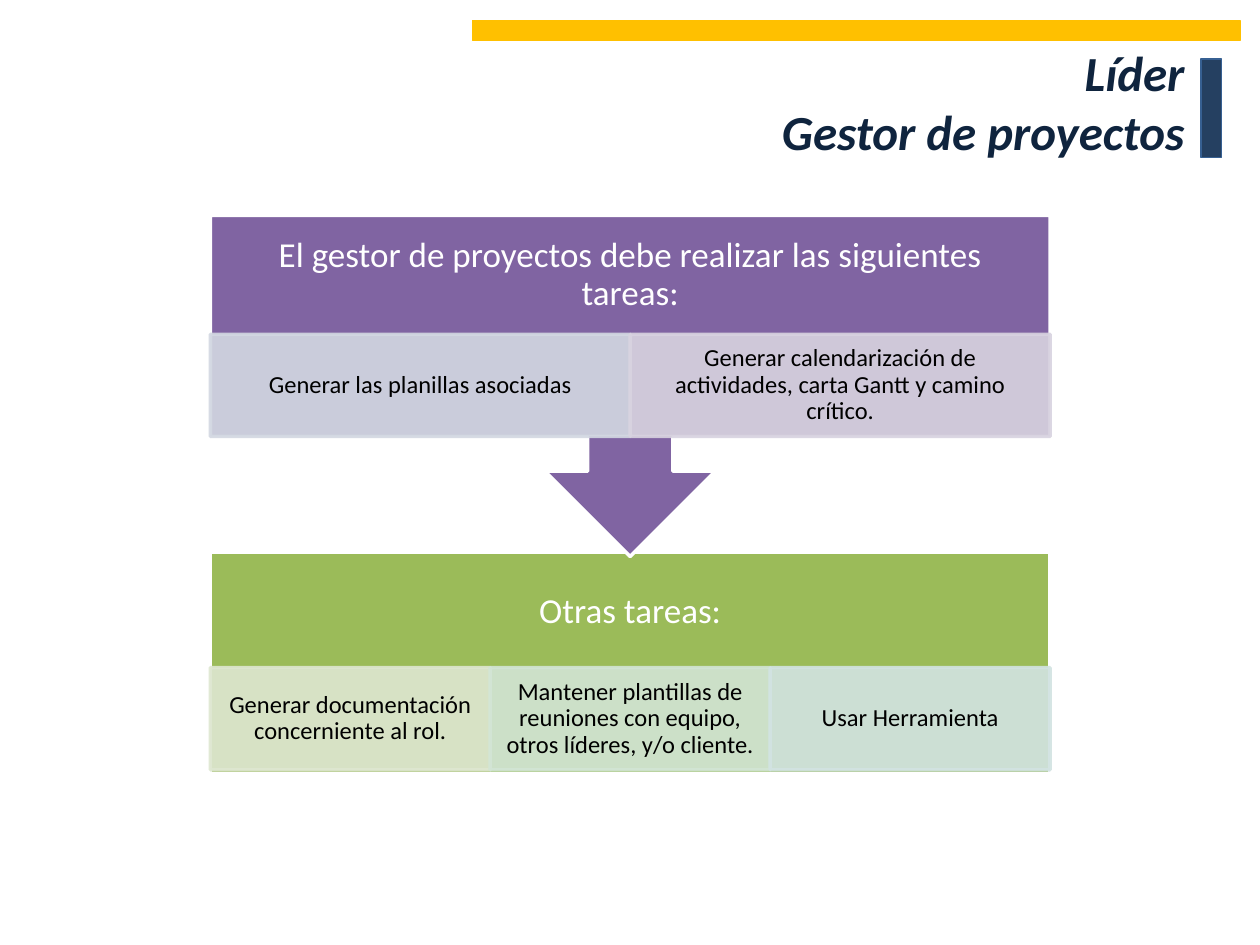
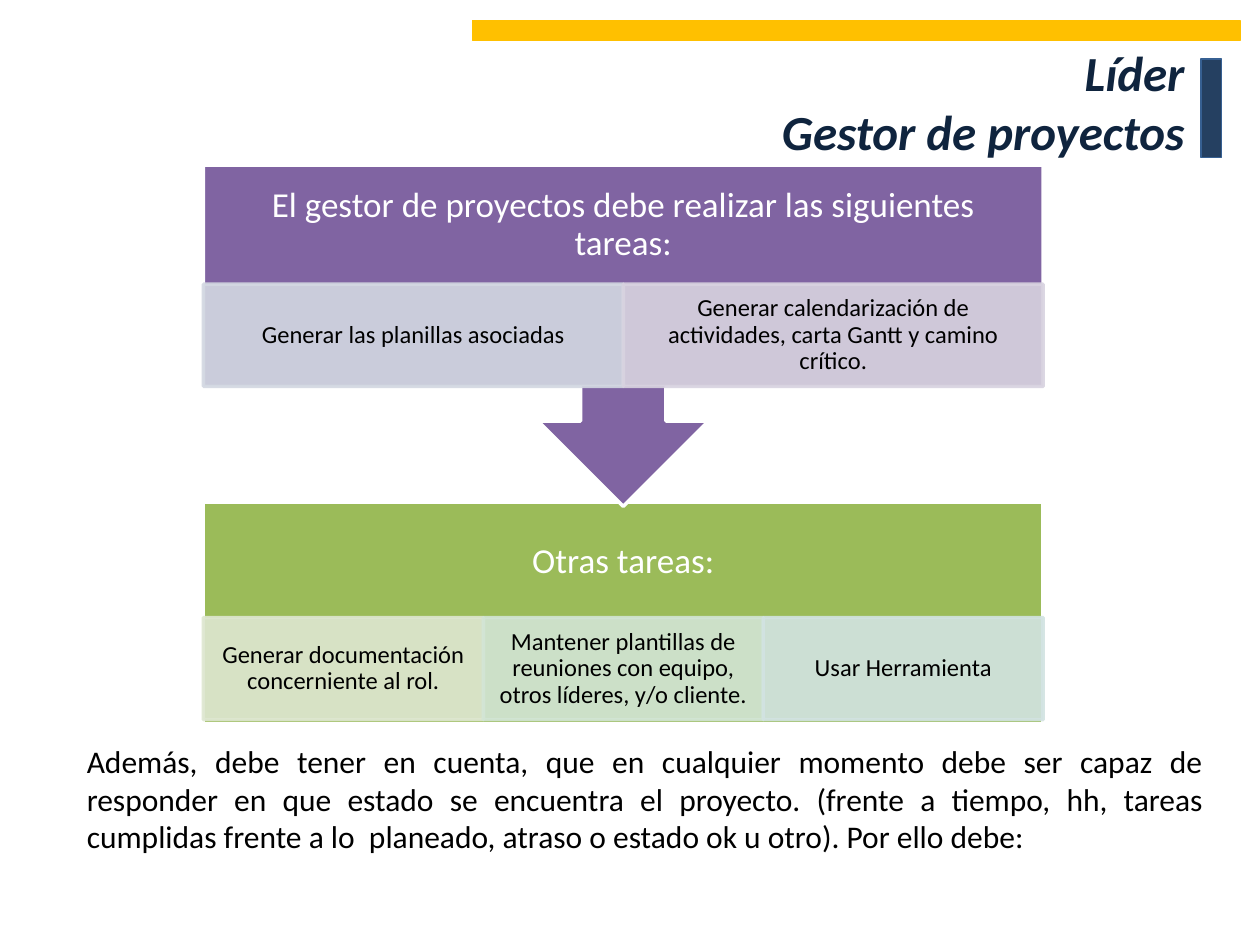
from dataclasses import dataclass

import lxml.etree
import pptx
import pptx.dml.color
import pptx.enum.shapes
import pptx.enum.text
import pptx.oxml.ns
import pptx.util

Cm = pptx.util.Cm
Pt = pptx.util.Pt
Shapes = pptx.enum.shapes.MSO_SHAPE
Align = pptx.enum.text.PP_ALIGN
Anchor = pptx.enum.text.MSO_ANCHOR


@dataclass(frozen=True)
class Theme:
    font: str = "Calibri"
    title_size: int = 28
    heading_size: int = 20
    body_size: int = 18
    cell_size: int = 14
    title: str = "0F243E"
    marker: str = "254061"
    marker_line: str = "376092"
    band: str = "FFC000"
    text: str = "000000"
    white: str = "FFFFFF"
    main_block: str = "8064A2"
    other_block: str = "9BBB59"
    cell_opacity: int = 90


THEME = Theme()
TITLE = "Líder\v Gestor de proyectos"
NOTE = (
    "Además, debe tener en cuenta, que en cualquier momento debe ser capaz de "
    "responder en que estado se encuentra el proyecto. (frente a tiempo, hh, "
    "tareas cumplidas frente a lo  planeado, atraso o estado ok u otro). "
    "Por ello debe:"
)
MAIN_HEADING = "El gestor de proyectos debe realizar las siguientes tareas:"
MAIN_TASKS = [
    ("Generar las planillas asociadas", "D3D8E2"),
    ("Generar calendarización de actividades, carta Gantt y camino crítico.", "D8D3E0"),
]
OTHER_HEADING = "Otras tareas:"
OTHER_TASKS = [
    ("Generar documentación concerniente al rol.", "DEE7D1"),
    ("Mantener plantillas de reuniones con equipo, otros líderes, y/o cliente.", "D2E5D5"),
    ("Usar Herramienta", "D2E3E2"),
]

DIAGRAM_WIDTH = 16.93
PANEL_HEIGHT = 4.47
CALLOUT_HEIGHT = 6.88
HEADING_HEIGHT = 2.41
CELL_HEIGHT = 2.06
PANEL_OFFSET = 6.79


def rgb(color):
    return pptx.dml.color.RGBColor.from_string(color)


def set_text(shape, text, size, color, align, bold=False, italic=False, spacing=None):
    frame = shape.text_frame
    frame.word_wrap = True
    frame.text = text
    paragraph = frame.paragraphs[0]
    paragraph.alignment = align
    if spacing:
        paragraph.line_spacing = spacing
    for run in paragraph.runs:
        run.font.name = THEME.font
        run.font.size = Pt(size)
        run.font.bold = bold
        run.font.italic = italic
        run.font.color.rgb = rgb(color)


def set_margins(shape, horizontal, top, bottom):
    frame = shape.text_frame
    frame.vertical_anchor = Anchor.MIDDLE
    frame.margin_left = frame.margin_right = Cm(horizontal)
    frame.margin_top = Cm(top)
    frame.margin_bottom = Cm(bottom)


def set_opacity(shape, percent):
    for color in shape._element.spPr.iter(pptx.oxml.ns.qn("a:srgbClr")):
        alpha = lxml.etree.SubElement(color, pptx.oxml.ns.qn("a:alpha"))
        alpha.set("val", str(percent * 1000))


def add_block(slide, kind, left, top, width, height, fill, line, line_width):
    shape = slide.shapes.add_shape(kind, Cm(left), Cm(top), Cm(width), Cm(height))
    shape.shadow.inherit = False
    shape.fill.solid()
    shape.fill.fore_color.rgb = rgb(fill)
    shape.line.color.rgb = rgb(line)
    shape.line.width = Pt(line_width)
    return shape


def add_titled_slide(presentation):
    slide = presentation.slides.add_slide(presentation.slide_layouts[5])
    add_block(slide, Shapes.RECTANGLE, 24.21, 1.19, 0.41, 1.98,
              THEME.marker, THEME.marker_line, 0.75)
    add_block(slide, Shapes.RECTANGLE, 9.53, 0.41, 15.47, 0.41,
              THEME.band, THEME.band, 0.75)
    title = slide.shapes.title
    title.left, title.top = Cm(10.31), Cm(0.76)
    title.width, title.height = Cm(13.82), Cm(2.57)
    set_text(title, TITLE, THEME.title_size, THEME.title, Align.RIGHT, True, True)
    title.text_frame.vertical_anchor = Anchor.MIDDLE
    title.text_frame.auto_size = pptx.enum.text.MSO_AUTO_SIZE.NONE
    return slide


def add_task_group(slide, kind, left, top, height, color, heading, tasks, cell_offset):
    block = add_block(slide, kind, left, top, DIAGRAM_WIDTH, height, color, THEME.white, 2)
    set_text(block, heading, THEME.heading_size, THEME.white, Align.CENTER, spacing=0.9)
    set_margins(block, 0.4, 0.4, 0.4 + PANEL_HEIGHT - HEADING_HEIGHT)
    cell_width = DIAGRAM_WIDTH / len(tasks)
    for index, (task, cell_color) in enumerate(tasks):
        cell = add_block(slide, Shapes.RECTANGLE, left + index * cell_width,
                         top + cell_offset, cell_width, CELL_HEIGHT,
                         cell_color, cell_color, 2)
        set_opacity(cell, THEME.cell_opacity)
        set_text(cell, task, THEME.cell_size, THEME.text, Align.CENTER, spacing=0.9)
        set_margins(cell, 0.28, 0.05, 0.05)


def add_task_diagram(slide, left, top):
    add_task_group(slide, Shapes.RECTANGLE, left, top + PANEL_OFFSET, PANEL_HEIGHT,
                   THEME.other_block, OTHER_HEADING, OTHER_TASKS, 2.33)
    add_task_group(slide, Shapes.DOWN_ARROW_CALLOUT, left, top, CALLOUT_HEIGHT,
                   THEME.main_block, MAIN_HEADING, MAIN_TASKS, 2.4)


def add_note(slide, text):
    note = slide.shapes.add_textbox(Cm(1.5), Cm(14.83), Cm(23.01), Cm(2.57))
    set_text(note, text, THEME.body_size, THEME.text, Align.JUSTIFY)


def main():
    presentation = pptx.Presentation()
    presentation.slide_width = Cm(25.4)
    presentation.slide_height = Cm(19.05)
    tasks_slide = add_titled_slide(presentation)
    add_task_diagram(tasks_slide, 4.24, 4.34)
    status_slide = add_titled_slide(presentation)
    add_note(status_slide, NOTE)
    add_task_diagram(status_slide, 4.1, 3.33)
    presentation.save("out.pptx")


if __name__ == "__main__":
    main()
